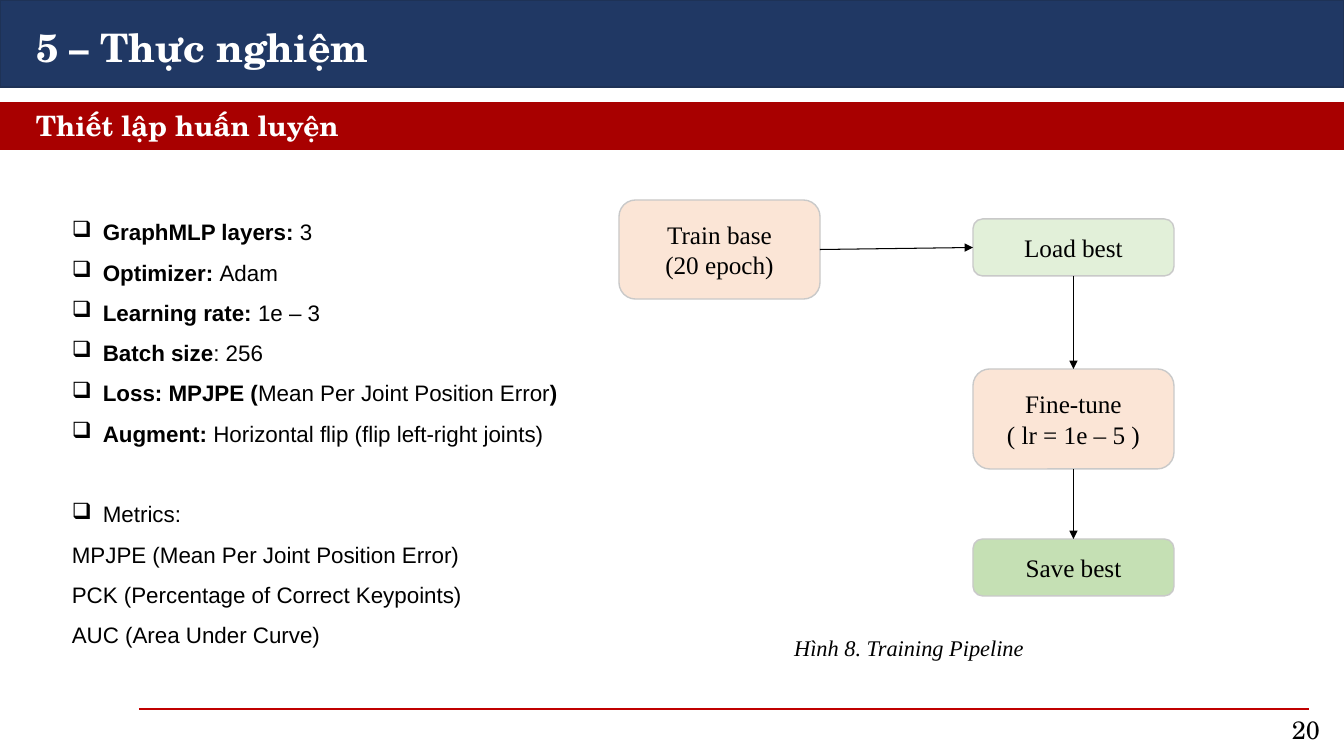
from pptx import Presentation
from pptx.dml.color import RGBColor
from pptx.enum.shapes import MSO_CONNECTOR, MSO_SHAPE
from pptx.enum.text import MSO_ANCHOR, PP_ALIGN
from pptx.oxml.ns import qn
from pptx.util import Pt
from lxml import etree

STRAIGHT = MSO_CONNECTOR.STRAIGHT
RECTANGLE, ROUNDED = MSO_SHAPE.RECTANGLE, MSO_SHAPE.ROUNDED_RECTANGLE
LEFT, CENTER = PP_ALIGN.LEFT, PP_ALIGN.CENTER
TOP, MIDDLE = MSO_ANCHOR.TOP, MSO_ANCHOR.MIDDLE
SCALE = 914400 / 100.8
TOP_SIDE, LEFT_SIDE, BOTTOM_SIDE, RIGHT_SIDE = 0, 1, 2, 3


def px(*lengths):
    return [round(length * SCALE) for length in lengths]


def color(hex_code):
    return RGBColor.from_string(hex_code)


deck = Presentation()
deck.slide_width, deck.slide_height = px(1344, 756)
page = deck.slides.add_slide(deck.slide_layouts[5])
shapes = page.shapes
title = shapes.title

bars = [
    ((0, 0, 1344, 87), "203864", "1E3256"),
    ((0, 103, 1344, 46), "A80000", "A80000"),
]
stages = [
    ((619, 200, 201, 99), "FBE5D6", ["Train base", "(20 epoch)"]),
    ((973, 219, 201, 57), "E2F0D9", ["Load best"]),
    ((973, 369, 201, 100), "FBE5D6", ["Fine-tune", "( lr = 1e – 5 )"]),
    ((973, 539, 201, 57), "C5E0B4", ["Save best"]),
]
blocks = [(RECTANGLE, place, fill, line, []) for place, fill, line in bars]
blocks += [(ROUNDED, place, fill, "C9C9C9", lines) for place, fill, lines in stages]
stage_boxes = []
for kind, place, fill, line, lines in blocks:
    box = shapes.add_shape(kind, *px(*place))
    box.shadow.inherit = False
    box.fill.solid()
    box.fill.fore_color.rgb = color(fill)
    box.line.color.rgb = color(line)
    box.line.width = Pt(1)
    if not lines:
        continue
    stage_boxes.append(box)
    frame = box.text_frame
    frame.vertical_anchor = MIDDLE
    for index, text in enumerate(lines):
        para = frame.paragraphs[0] if index == 0 else frame.add_paragraph()
        para.alignment = CENTER
        span = para.add_run()
        span.text = text
        for name, value in {"name": "Times New Roman", "size": Pt(18)}.items():
            setattr(span.font, name, value)
        span.font.color.rgb = color("000000")

title._element.getparent().append(title._element)
schola = {"name": "TeX Gyre Schola"}
labels = [
    (title, (26, 18, 1081, 57), "5 – Thực nghiệm", LEFT, 1.0, "FFFFFF",
     {**schola, "size": Pt(28), "bold": True}),
    (None, (26, 104, 1081, 44), "Thiết lập huấn luyện", LEFT, 1.0, "FFFFFF",
     {**schola, "size": Pt(20), "bold": True}),
    (None, (619, 616, 580, 46), "Hình 8. Training Pipeline", CENTER, 1.5, "000000",
     {"name": "Times New Roman", "size": Pt(16), "italic": True}),
    (None, (1282, 709, 56, 40), "20", LEFT, 1.0, "000000",
     {**schola, "size": Pt(18)}),
]
for box, place, text, alignment, spacing, text_color, font in labels:
    box = box or shapes.add_textbox(*px(*place))
    box.left, box.top, box.width, box.height = px(*place)
    frame = box.text_frame
    frame.word_wrap = True
    frame.vertical_anchor = TOP
    para = frame.paragraphs[0]
    para.alignment = alignment
    para.line_spacing = spacing
    span = para.add_run()
    span.text = text
    for name, value in font.items():
        setattr(span.font, name, value)
    span.font.color.rgb = color(text_color)

settings = [
    (True, [("GraphMLP layers: ", True), ("3", False)]),
    (True, [("Optimizer: ", True), ("Adam", False)]),
    (True, [("Learning rate: ", True), ("1e – 3", False)]),
    (True, [("Batch size", True), (": 256", False)]),
    (True, [("Loss: MPJPE (", True), ("Mean Per Joint Position Error", False), (")", True)]),
    (True, [("Augment: ", True), ("Horizontal flip (flip left-right joints)", False)]),
    (True, [("Metrics:", False)]),
    (False, [("MPJPE (Mean Per Joint Position Error)", False)]),
    (False, [("PCK (Percentage of Correct Keypoints)", False)]),
    (False, [("AUC (Area Under Curve)", False)]),
]
indent = px(31)[0]
frame = shapes.add_textbox(*px(62, 200, 669, 534)).text_frame
frame.word_wrap = True
for index, (bulleted, spans) in enumerate(settings):
    para = frame.paragraphs[0] if index == 0 else frame.add_paragraph()
    para.line_spacing = 1.5
    if spans[0][0] == "Metrics:":
        para.space_before = Pt(28.8)
    if bulleted:
        properties = para._p.get_or_add_pPr()
        properties.set("marL", str(indent))
        properties.set("indent", str(-indent))
        etree.SubElement(properties, qn("a:buChar")).set("char", "❑")
    for text, bold in spans:
        span = para.add_run()
        span.text = text
        for name, value in {"name": "Arial", "size": Pt(16), "bold": bold}.items():
            setattr(span.font, name, value)
        span.font.color.rgb = color("000000")

train, load, tune, save = stage_boxes
links = [
    (train, RIGHT_SIDE, load, LEFT_SIDE),
    (load, BOTTOM_SIDE, tune, TOP_SIDE),
    (tune, BOTTOM_SIDE, save, TOP_SIDE),
]
footer_rule = shapes.add_connector(STRAIGHT, *px(139, 709, 1309, 709))
lines = [(footer_rule, "C00000", 1.5)]
for start, start_side, end, end_side in links:
    arrow = shapes.add_connector(STRAIGHT, 0, 0, 0, 0)
    arrow.begin_connect(start, start_side)
    arrow.end_connect(end, end_side)
    lines.append((arrow, "000000", 0.75))
for connector, line_color, width in lines:
    connector.line.color.rgb = color(line_color)
    connector.line.width = Pt(width)
    if connector is not footer_rule:
        tail = etree.SubElement(connector.line._get_or_add_ln(), qn("a:tailEnd"))
        tail.set("type", "triangle")
    etree.SubElement(connector._element.spPr, qn("a:effectLst"))

deck.save("out.pptx")
